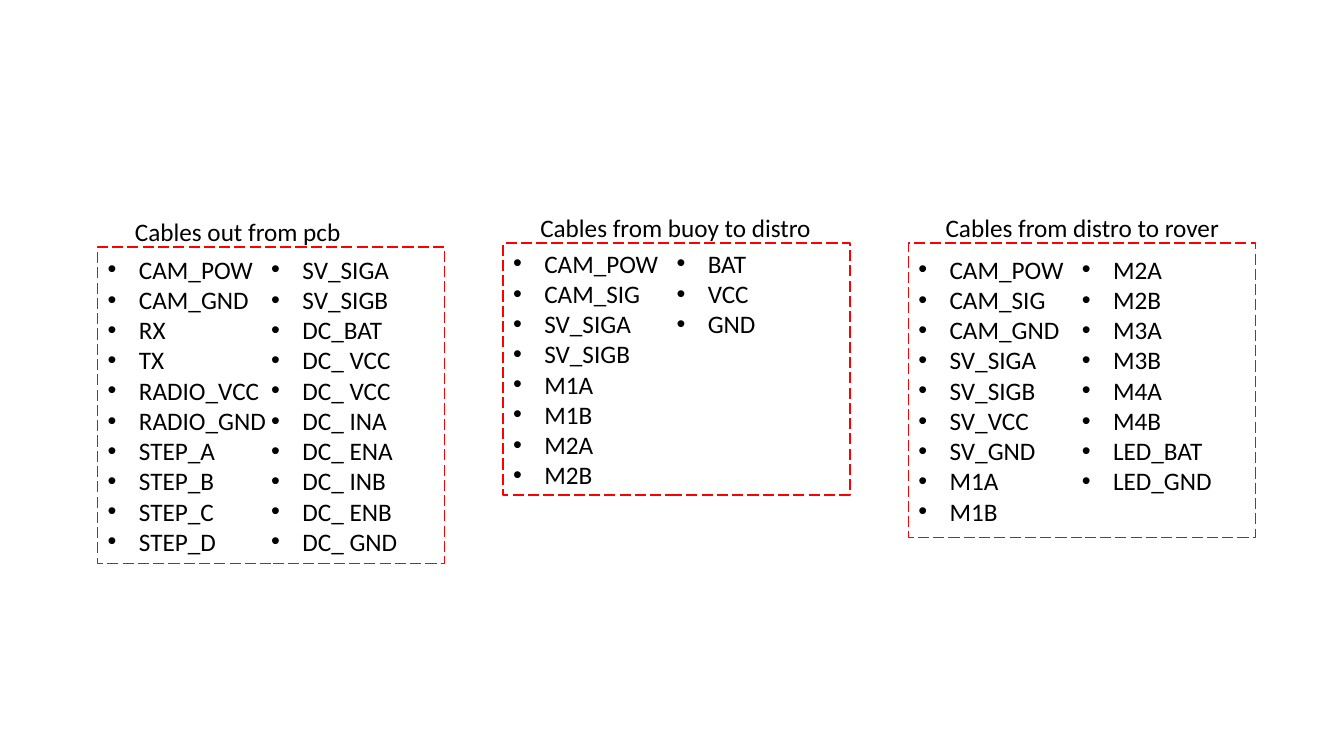
from lxml import etree
from pptx import Presentation
from pptx.dml.color import RGBColor
from pptx.enum.dml import MSO_LINE
from pptx.enum.shapes import MSO_SHAPE
from pptx.enum.text import MSO_ANCHOR, MSO_AUTO_SIZE, PP_ALIGN
from pptx.oxml.ns import qn
from pptx.util import Inches, Pt

COLOURS = {"box": "FFFFFF", "border": "FF0000", "text": "000000"}
INDENT = Inches(0.31)
BOX_WIDTH = 3.44
FIRST_LEFT, BOX_STEP = 0.97, 4.02
TITLE_OFFSET, TITLE_RISE = 0.27, 0.35

# title, title width, box top, box height, cables
CABLE_GROUPS = [
    ("Cables out from pcb", 2.27, 2.45, 3.14,
     ["CAM_POW", "CAM_GND", "RX", "TX", "RADIO_VCC", "RADIO_GND",
      "STEP_A", "STEP_B", "STEP_C", "STEP_D", "SV_SIGA", "SV_SIGB",
      "DC_BAT", "DC_ VCC", "DC_ VCC", "DC_ INA", "DC_ ENA", "DC_ INB",
      "DC_ ENB", "DC_ GND"]),
    ("Cables from buoy to distro", 2.91, 2.41, 2.5,
     ["CAM_POW", "CAM_SIG", "SV_SIGA", "SV_SIGB", "M1A", "M1B", "M2A",
      "M2B", "BAT", "VCC", "GND"]),
    ("Cables from distro to rover", 2.94, 2.41, 2.92,
     ["CAM_POW", "CAM_SIG", "CAM_GND", "SV_SIGA", "SV_SIGB", "SV_VCC",
      "SV_GND", "M1A", "M1B", "M2A", "M2B", "M3A", "M3B", "M4A", "M4B",
      "LED_BAT", "LED_GND"]),
]


def add_text(paragraph, text):
    """Add one left-aligned run in the slide's text style."""
    paragraph.alignment = PP_ALIGN.LEFT
    run = paragraph.add_run()
    run.text = text
    run.font.name = "Calibri"
    run.font.size = Pt(18)
    run.font.color.rgb = RGBColor.from_string(COLOURS["text"])


def add_bullet(paragraph):
    """Give a paragraph a round bullet and a hanging indent."""
    properties = paragraph._p.get_or_add_pPr()
    properties.set("marL", str(INDENT))
    properties.set("indent", str(-INDENT))
    etree.SubElement(properties, qn("a:buFont"), typeface="Arial")
    etree.SubElement(properties, qn("a:buChar"), char="•")


presentation = Presentation()
presentation.slide_width = Inches(13.33)
presentation.slide_height = Inches(7.5)
slide = presentation.slides.add_slide(presentation.slide_layouts[6])

for index, (title, title_width, top, height, cables) in enumerate(CABLE_GROUPS):
    left = FIRST_LEFT + index * BOX_STEP

    box = slide.shapes.add_shape(
        MSO_SHAPE.RECTANGLE, Inches(left), Inches(top),
        Inches(BOX_WIDTH), Inches(height))
    box.shadow.inherit = False
    box.fill.solid()
    box.fill.fore_color.rgb = RGBColor.from_string(COLOURS["box"])
    box.line.color.rgb = RGBColor.from_string(COLOURS["border"])
    box.line.width = Pt(1)
    box.line.dash_style = MSO_LINE.LONG_DASH

    cable_frame = box.text_frame
    cable_frame.word_wrap = True
    cable_frame.vertical_anchor = MSO_ANCHOR.MIDDLE
    cable_frame._txBody.bodyPr.set("numCol", "2")
    for number, cable in enumerate(cables):
        paragraph = (cable_frame.add_paragraph() if number
                     else cable_frame.paragraphs[0])
        add_text(paragraph, cable)
        add_bullet(paragraph)

    title_box = slide.shapes.add_textbox(
        Inches(left + TITLE_OFFSET), Inches(top - TITLE_RISE),
        Inches(title_width), Inches(0.4))
    title_box.text_frame.word_wrap = False
    title_box.text_frame.auto_size = MSO_AUTO_SIZE.SHAPE_TO_FIT_TEXT
    add_text(title_box.text_frame.paragraphs[0], title)

presentation.save("out.pptx")
